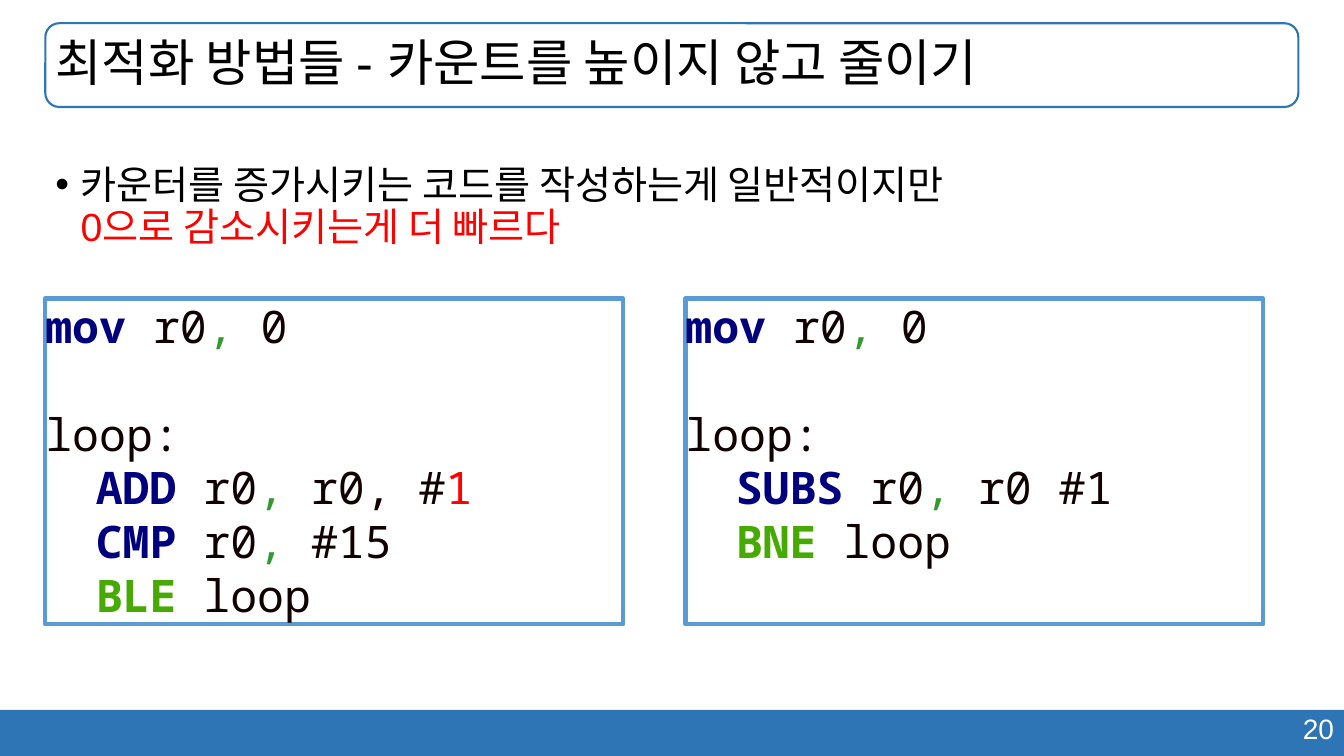
from dataclasses import dataclass

import lxml.etree
import pptx
import pptx.dml.color
import pptx.enum.shapes
import pptx.enum.text
import pptx.oxml.ns
import pptx.util

Pt = pptx.util.Pt
Anchor = pptx.enum.text.MSO_ANCHOR
Align = pptx.enum.text.PP_ALIGN
Preset = pptx.enum.shapes.MSO_SHAPE

SLIDE_WIDTH, SLIDE_HEIGHT = 960, 540
MARGIN, CONTENT_WIDTH = 32.4, 895
NAVY, GREEN, LIME, INK, RED = "00007F", "339933", "46AA03", "110000", "FF0000"
BLACK, WHITE, BLUE, LIGHT_BLUE = "000000", "FFFFFF", "2E75B6", "5B9BD5"
CODE_SIZE, CODE_LINE = 32, 38.5


@dataclass(frozen=True)
class Box:
    left: float
    top: float
    width: float
    height: float

    def lengths(self) -> tuple:
        return Pt(self.left), Pt(self.top), Pt(self.width), Pt(self.height)


@dataclass(frozen=True)
class Token:
    text: str
    color: str = INK
    bold: bool = False


@dataclass(frozen=True)
class CodeLine:
    tokens: tuple[Token, ...]
    space_before: float = 0


@dataclass(frozen=True)
class CodePanel:
    left: float
    loop_body: tuple[CodeLine, ...]


def rgb(color: str) -> pptx.dml.color.RGBColor:
    return pptx.dml.color.RGBColor.from_string(color)


def add_text(paragraph, text: str, *, size: float, color: str = BLACK,
             font: str = "Arial", bold: bool = False) -> None:
    run = paragraph.add_run()
    run.text = text
    run.font.name = font
    run.font.size = Pt(size)
    run.font.bold = bold
    run.font.color.rgb = rgb(color)


def add_preset(slide, preset, box: Box, *, fill: str | None = None,
               line: str | None = None, line_width: float = 1):
    shape = slide.shapes.add_shape(preset, *box.lengths())
    shape.shadow.inherit = False
    if fill:
        shape.fill.solid()
        shape.fill.fore_color.rgb = rgb(fill)
    else:
        shape.fill.background()
    if line:
        shape.line.color.rgb = rgb(line)
        shape.line.width = Pt(line_width)
    else:
        shape.line.fill.background()
    return shape


def place(shape, box: Box, anchor):
    """Moves a placeholder or text box and returns its text frame."""
    shape.left, shape.top, shape.width, shape.height = box.lengths()
    frame = shape.text_frame
    frame.word_wrap = True
    frame.auto_size = pptx.enum.text.MSO_AUTO_SIZE.NONE
    frame.vertical_anchor = anchor
    return frame


def set_bullet(paragraph, indent: float) -> None:
    properties = paragraph._p.get_or_add_pPr()
    properties.set("marL", str(Pt(indent)))
    properties.set("indent", str(-Pt(indent)))
    for tag, name, value in (("a:buFont", "typeface", "Arial"), ("a:buChar", "char", "•")):
        element = lxml.etree.SubElement(properties, pptx.oxml.ns.qn(tag))
        element.set(name, value)


def add_title(slide) -> None:
    box = Box(MARGIN, 16.6, CONTENT_WIDTH, 59.8)
    add_preset(slide, Preset.ROUNDED_RECTANGLE, box, line=BLUE, line_width=1.5)
    paragraph = place(slide.shapes.title, box, Anchor.MIDDLE).paragraphs[0]
    paragraph.alignment = Align.LEFT
    paragraph.line_spacing = 0.9
    add_text(paragraph, "최적화 방법들 - 카운트를 높이지 않고 줄이기", size=36)


def add_body(slide) -> None:
    box = Box(MARGIN, 114.5, CONTENT_WIDTH, 398)
    paragraph = place(slide.placeholders[1], box, Anchor.TOP).paragraphs[0]
    set_bullet(paragraph, 18)
    paragraph.line_spacing = 0.9
    paragraph.space_before = Pt(0)
    add_text(paragraph, "카운터를 증가시키는 코드를 작성하는게 일반적이지만", size=28)
    paragraph.add_line_break()
    add_text(paragraph, "0으로 감소시키는게 더 빠르다", size=28, color=RED)


def add_footer(slide) -> None:
    add_preset(slide, Preset.RECTANGLE, Box(0, 507, SLIDE_WIDTH, 33), fill=BLUE)
    box = Box(679, 505, 281, 31.5)
    number = slide.shapes.add_textbox(*box.lengths())
    paragraph = place(number, box, Anchor.TOP).paragraphs[0]
    paragraph.alignment = Align.RIGHT
    add_text(paragraph, "20", size=20, color=WHITE)


def operation(name: str, *operands: Token) -> CodeLine:
    return CodeLine((Token(name, NAVY, True), Token(" r0"), Token(", ", GREEN), *operands))


def branch(name: str) -> CodeLine:
    return CodeLine((Token(f"\t{name} ", LIME, True), Token("loop")))


def add_code_panel(slide, panel: CodePanel) -> None:
    shape = add_preset(slide, Preset.RECTANGLE, Box(panel.left, 213.3, 412.8, 232.6),
                       line=LIGHT_BLUE, line_width=3)
    frame = shape.text_frame
    frame.word_wrap = True
    frame.vertical_anchor = Anchor.TOP
    frame.margin_left = frame.margin_top = frame.margin_right = frame.margin_bottom = 0
    opening = (operation("mov", Token("0")), CodeLine((Token("loop:"),), CODE_LINE))
    for index, line in enumerate(opening + panel.loop_body):
        paragraph = frame.add_paragraph() if index else frame.paragraphs[0]
        paragraph.alignment = Align.LEFT
        if line.space_before:
            paragraph.space_before = Pt(line.space_before)
        for token in line.tokens:
            add_text(paragraph, token.text, size=CODE_SIZE, color=token.color,
                     font="Noto Sans Mono", bold=token.bold)


CODE_PANELS = (
    CodePanel(MARGIN, (
        operation("\tADD", Token("r0, #"), Token("1", RED)),
        operation("\tCMP", Token("#15")),
        branch("BLE"),
    )),
    CodePanel(489.6, (
        operation("\tSUBS", Token("r0 #1")),
        branch("BNE"),
    )),
)


def main() -> None:
    presentation = pptx.Presentation()
    presentation.slide_width = Pt(SLIDE_WIDTH)
    presentation.slide_height = Pt(SLIDE_HEIGHT)
    slide = presentation.slides.add_slide(presentation.slide_layouts[1])
    add_title(slide)
    add_body(slide)
    add_footer(slide)
    for panel in CODE_PANELS:
        add_code_panel(slide, panel)
    presentation.save("out.pptx")


if __name__ == "__main__":
    main()
